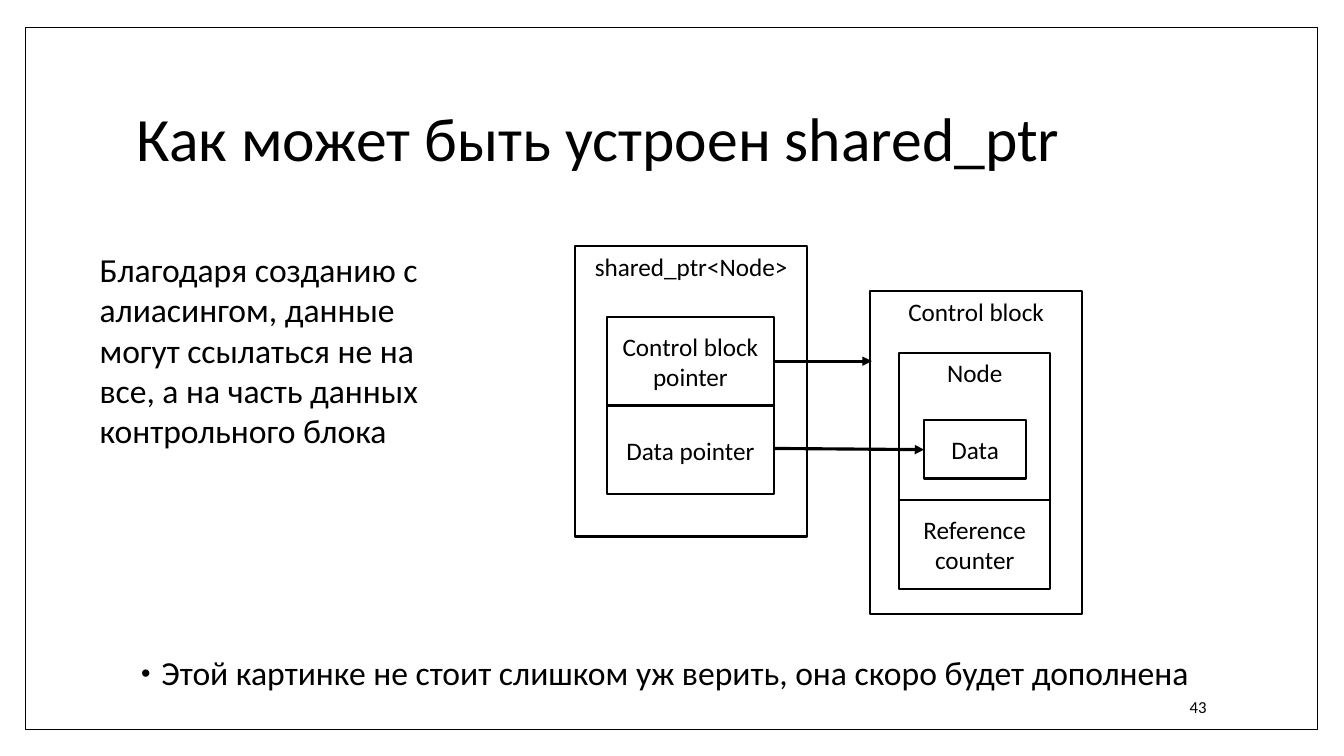
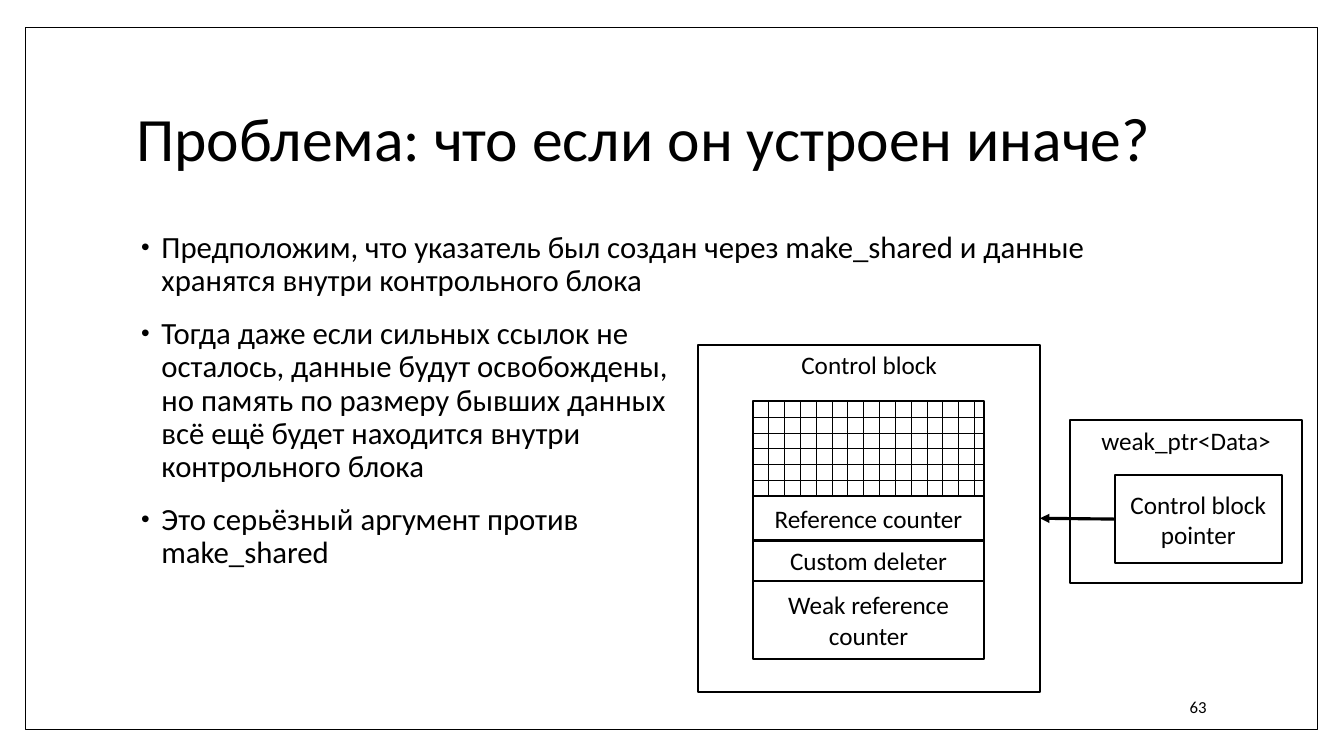
from lxml import etree
from pptx import Presentation
from pptx import util as u
from pptx.dml.color import RGBColor
from pptx.enum import dml, shapes, text
from pptx.oxml import ns

COLORS = {"ink": "000000", "paper": "FFFFFF"}
INK = RGBColor.from_string(COLORS["ink"])
PAPER = RGBColor.from_string(COLORS["paper"])
FONT = "Calibri"
TOP, MIDDLE = text.MSO_ANCHOR.TOP, text.MSO_ANCHOR.MIDDLE
LEFT, CENTER, RIGHT = text.PP_ALIGN.LEFT, text.PP_ALIGN.CENTER, text.PP_ALIGN.RIGHT


def write_text(shape, paragraphs, size=18, align=LEFT, anchor=TOP, spacing=1.0, bullet=False):
    frame = shape.text_frame
    frame.word_wrap = True
    frame.vertical_anchor = anchor
    for index, content in enumerate(paragraphs):
        paragraph = frame.paragraphs[0] if index == 0 else frame.add_paragraph()
        paragraph.text = content
        paragraph.alignment = align
        paragraph.line_spacing = spacing
        if index:
            paragraph.space_before = u.Pt(14)
        if bullet:
            properties = paragraph._p.get_or_add_pPr()
            properties.set("marL", str(u.Cm(0.64)))
            properties.set("indent", str(u.Cm(-0.51)))
            etree.SubElement(properties, ns.qn("a:buSzPct")).set("val", "80000")
            etree.SubElement(properties, ns.qn("a:buFont")).set("typeface", "Arial")
            etree.SubElement(properties, ns.qn("a:buChar")).set("char", "•")
        for run in paragraph.runs:
            run.font.name = FONT
            run.font.size = u.Pt(size)
            run.font.color.rgb = INK


def add_box(slide, place, line_width=1.5):
    shape = slide.shapes.add_shape(shapes.MSO_SHAPE.RECTANGLE, *map(u.Cm, place))
    shape.shadow.inherit = False
    shape.fill.solid()
    shape.fill.fore_color.rgb = PAPER
    shape.line.color.rgb = INK
    shape.line.width = u.Pt(line_width)
    return shape


pages = [
    {
        "title": "Как может быть устроен shared_ptr",
        "number": "43",
        "body": (3.18, 16.43, 28.24, 1.4),
        "body_size": 24,
        "bullets": ["Этой картинке не стоит слишком уж верить, она скоро будет дополнена"],
        "boxes": [
            ("shared_ptr<Node>", TOP, (14.5, 6.2, 5.84, 7.32)),
            ("Control block pointer", MIDDLE, (15.29, 7.98, 4.22, 2.24)),
            ("Data pointer", MIDDLE, (15.29, 10.22, 4.22, 2.24)),
            ("Control block", TOP, (21.92, 7.34, 5.36, 8.13)),
            ("Node", TOP, (22.66, 8.89, 3.81, 3.71)),
            ("Reference counter", MIDDLE, (22.66, 12.6, 3.81, 2.24)),
            ("Data", MIDDLE, (23.29, 10.59, 2.57, 1.47)),
        ],
        "arrows": [(19.51, 9.1, 21.97, 9.1), (19.51, 11.3, 23.29, 11.33)],
    },
    {
        "title": "Проблема: что если он устроен иначе?",
        "number": "63",
        "body": (3.18, 5.72, 27.43, 11.91),
        "body_size": 22,
        "bullets": [
            "Предположим, что указатель был создан через make_shared и данные хранятся внутри контрольного блока",
            "Тогда даже если сильных ссылок не\nосталось, данные будут освобождены,\n"
            "но память по размеру бывших данных\nвсё ещё будет находится внутри\nконтрольного блока",
            "Это серьёзный аргумент против\nmake_shared",
        ],
        "boxes": [
            ("Control block", TOP, (17.6, 8.69, 8.61, 8.74)),
            ("Reference counter", MIDDLE, (18.97, 12.5, 5.84, 1.12)),
            ("Custom deleter", MIDDLE, (18.97, 13.62, 5.84, 1.02)),
            ("Weak reference counter", MIDDLE, (18.97, 14.64, 5.84, 1.97)),
            ("weak_ptr<Data>", TOP, (26.97, 10.59, 5.84, 4.11)),
            ("Control block pointer", MIDDLE, (28.09, 11.96, 4.22, 2.24)),
        ],
        "arrows": [(28.09, 13.08, 26.21, 13.06)],
    },
]

presentation = Presentation()
presentation.slide_width = u.Cm(33.87)
presentation.slide_height = u.Cm(19.05)

for page in pages:
    slide = presentation.slides.add_slide(presentation.slide_layouts[6])
    add_box(slide, (0.64, 0.69, 32.56, 17.7), line_width=1)

    title = slide.shapes.add_textbox(u.Cm(3.18), u.Cm(1.7), u.Cm(27.43), u.Cm(3.76))
    write_text(title, [page["title"]], size=44, anchor=MIDDLE, spacing=0.9)

    body = slide.shapes.add_textbox(*map(u.Cm, page["body"]))
    write_text(body, page["bullets"], size=page["body_size"], spacing=0.9, bullet=True)

    for label, anchor, place in page["boxes"]:
        write_text(add_box(slide, place), [label], align=CENTER, anchor=anchor)

    for ends in page["arrows"]:
        arrow = slide.shapes.add_connector(shapes.MSO_CONNECTOR.STRAIGHT, *map(u.Cm, ends))
        arrow.line.color.rgb = INK
        arrow.line.width = u.Pt(2.25)
        etree.SubElement(arrow.line._get_or_add_ln(), ns.qn("a:tailEnd")).set("type", "triangle")
        etree.SubElement(arrow._element.spPr, ns.qn("a:effectLst"))

    number = slide.shapes.add_textbox(u.Cm(25.91), u.Cm(17.3), u.Cm(4.75), u.Cm(1.02))
    write_text(number, [page["number"]], size=12, align=RIGHT, anchor=MIDDLE)

pointer_slide, problem_slide = presentation.slides

remark = pointer_slide.shapes.add_textbox(u.Cm(2.26), u.Cm(6.15), u.Cm(9.53), u.Cm(5.38))
write_text(
    remark,
    ["Благодаря созданию с алиасингом, данные могут ссылаться не на все, а на часть данных контрольного блока"],
    size=24,
)

freed_data = add_box(problem_slide, (18.97, 10.11, 5.84, 2.39))
freed_data.fill.patterned()
freed_data.fill.pattern = dml.MSO_PATTERN.DOTTED_GRID
freed_data.fill.fore_color.rgb = INK
freed_data.fill.back_color.rgb = PAPER

presentation.save("out.pptx")
